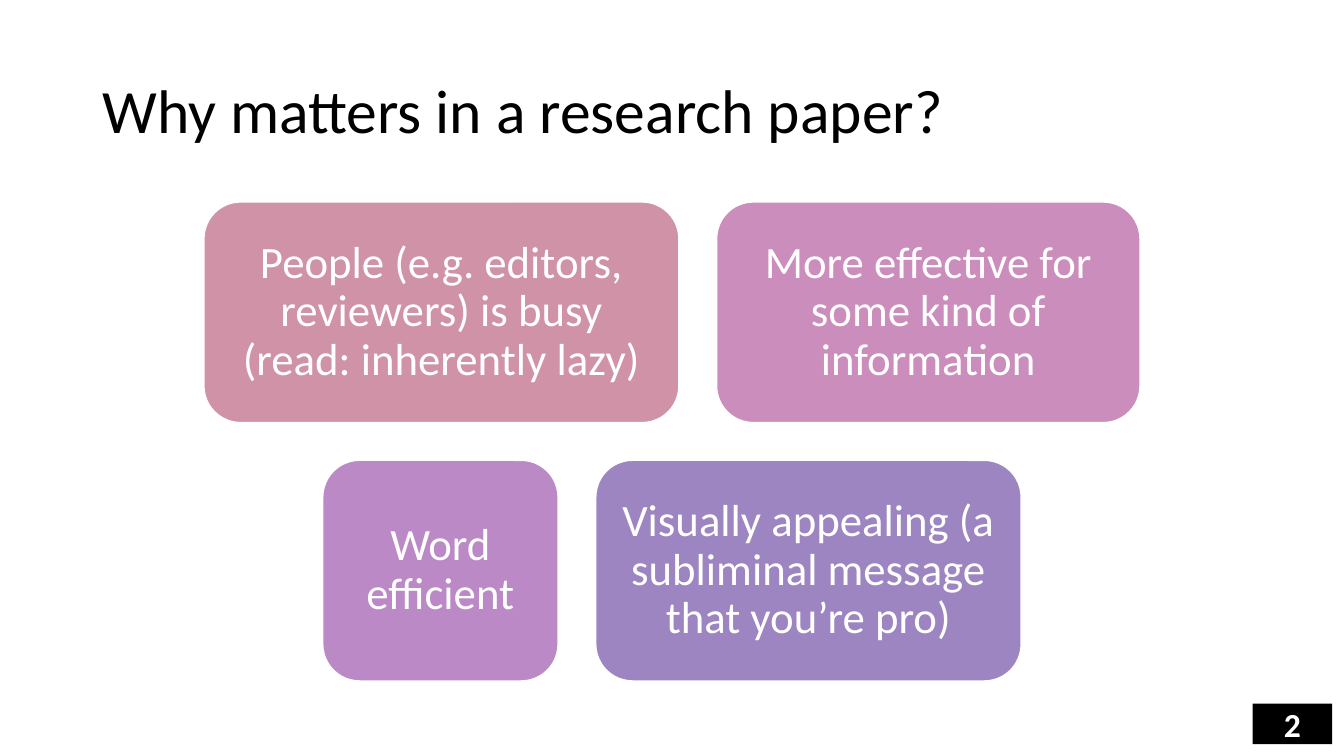
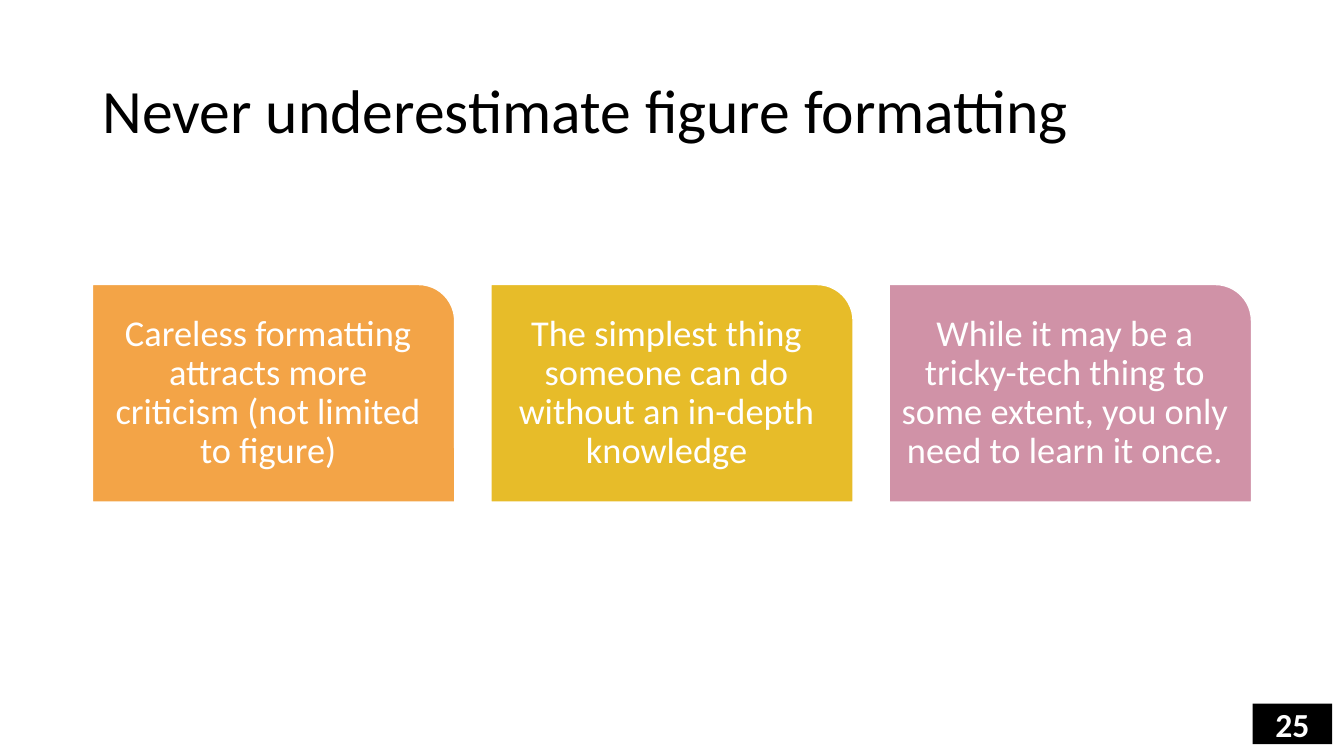
from pptx import Presentation
from pptx import util as u
from pptx.dml.color import RGBColor
from pptx.enum import shapes, text

SLIDE_W, SLIDE_H = 33.87, 19.05
FONT = "Calibri"
COLORS = {
    "black": "000000",
    "white": "FFFFFF",
    "rose": "D092A7",
    "pink": "CB8DBC",
    "orchid": "BA89C6",
    "violet": "9C85C0",
    "orange": "F3A447",
    "gold": "E7BC29",
}


def rgb(name):
    return RGBColor.from_string(COLORS[name])


def write(sp, content, size, color="white", bold=False, inset=None,
          spacing=None, align=text.PP_ALIGN.CENTER):
    """Fill a shape with one vertically centred paragraph; inset is in cm."""
    tf = sp.text_frame
    tf.word_wrap = True
    tf.vertical_anchor = text.MSO_ANCHOR.MIDDLE
    if inset is not None:
        tf.margin_left = tf.margin_right = u.Cm(inset)
        tf.margin_top = tf.margin_bottom = u.Cm(inset)
    p = tf.paragraphs[0]
    p.alignment = align
    if spacing:
        p.line_spacing = spacing
    r = p.add_run()
    r.text = content
    r.font.name = FONT
    r.font.size = u.Pt(size)
    r.font.bold = bold
    r.font.color.rgb = rgb(color)


def add_box(s, kind, left, top, width, height, fill, line=None):
    sp = s.shapes.add_shape(kind, u.Cm(left), u.Cm(top), u.Cm(width), u.Cm(height))
    sp.shadow.inherit = False
    sp.fill.solid()
    sp.fill.fore_color.rgb = rgb(fill)
    if line:
        sp.line.color.rgb = rgb(line)
        sp.line.width = u.Pt(1)
    else:
        sp.line.fill.background()
    return sp


def add_slide(prs, title, number):
    """Add a slide with its title and the page number in the corner."""
    s = prs.slides.add_slide(prs.slide_layouts[5])
    sp = s.shapes.title
    sp.left, sp.top, sp.width, sp.height = map(u.Cm, (2.33, 1.01, 29.21, 3.68))
    write(sp, title, 44, color="black", spacing=0.9, align=text.PP_ALIGN.LEFT)
    badge = add_box(s, shapes.MSO_SHAPE.RECTANGLE, 31.57, 17.73, 2, 1.02, "black")
    write(badge, str(number), 24, bold=True, inset=0)
    return s


def add_card_row(s, cards, kind, top, height, gap, size, inset):
    """Centre a row of (width, fill, text) cards on the slide."""
    total = sum(width for width, _, _ in cards) + gap * (len(cards) - 1)
    left = (SLIDE_W - total) / 2
    for width, fill, content in cards:
        sp = add_box(s, kind, left, top, width, height, fill, line="white")
        write(sp, content, size, inset=inset, spacing=0.9)
        left += width + gap


def add_reasons_slide(prs):
    s = add_slide(prs, "Why matters in a research paper?", 2)
    rows = [
        [(11.97, "rose", "People (e.g. editors, reviewers) is busy (read: inherently lazy)"),
         (10.67, "pink", "More effective for some kind of information")],
        [(5.93, "orchid", "Word efficient"),
         (10.72, "violet", "Visually appealing (a subliminal message that you’re pro)")],
    ]
    top, height, gap = 5.09, 5.56, 0.95
    for i, cards in enumerate(rows):
        add_card_row(s, cards, shapes.MSO_SHAPE.ROUNDED_RECTANGLE,
                     top + i * (height + gap), height, gap, size=32, inset=0.33)


def add_formatting_slide(prs):
    s = add_slide(prs, "Never underestimate figure formatting", 25)
    width = 9.13
    cards = [
        (width, "orange", "Careless formatting attracts more criticism (not limited to figure)"),
        (width, "gold", "The simplest thing someone can do without an in-depth knowledge"),
        (width, "rose", "While it may be a tricky-tech thing to some extent, "
                        "you only need to learn it once."),
    ]
    add_card_row(s, cards, shapes.MSO_SHAPE.ROUND_1_RECTANGLE,
                 top=7.17, height=5.48, gap=0.91, size=26, inset=0.28)


def main():
    prs = Presentation()
    prs.slide_width, prs.slide_height = u.Cm(SLIDE_W), u.Cm(SLIDE_H)
    add_reasons_slide(prs)
    add_formatting_slide(prs)
    prs.save("out.pptx")


if __name__ == "__main__":
    main()
